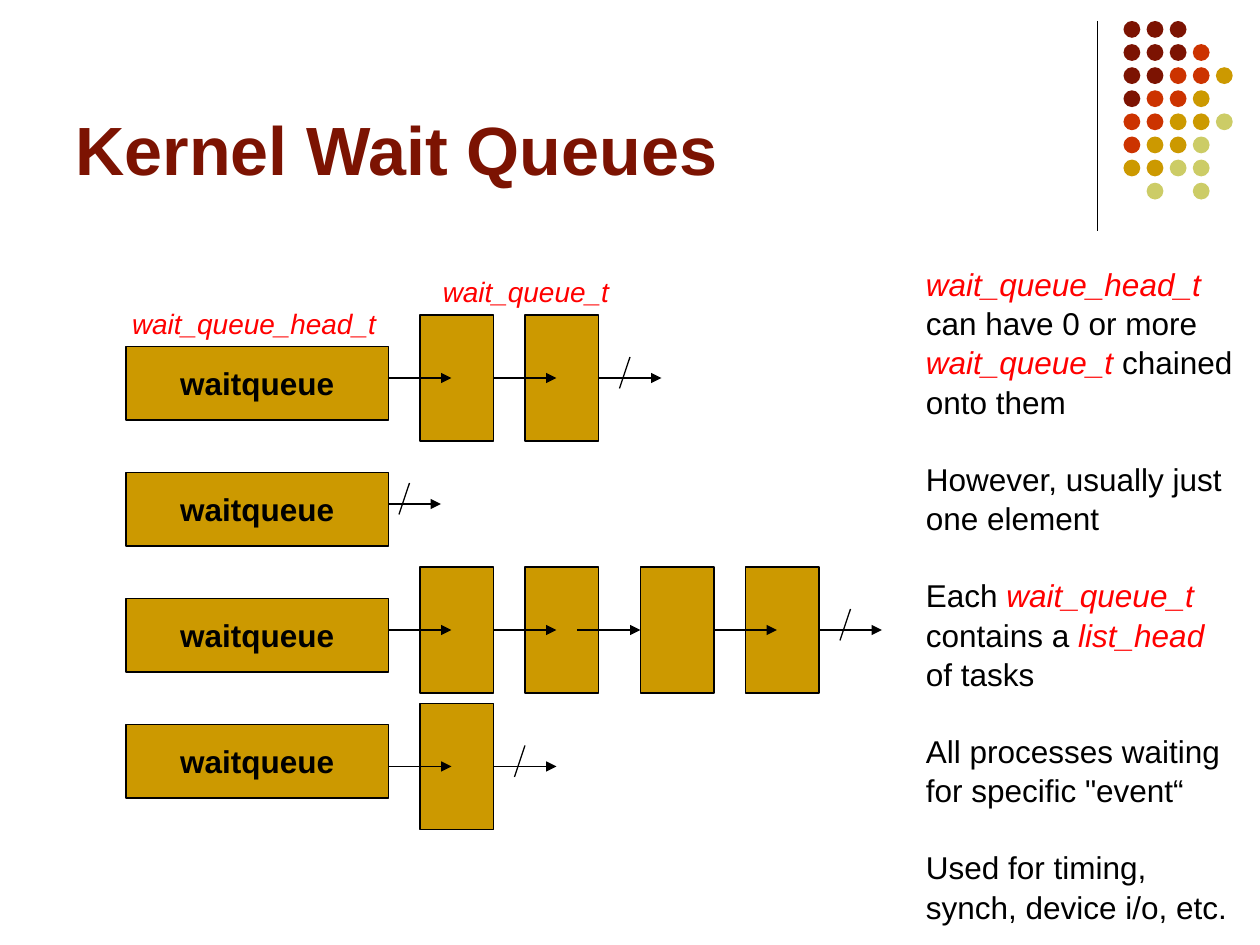
from pptx import Presentation
from pptx.dml.color import RGBColor
from pptx.enum.shapes import MSO_CONNECTOR, MSO_SHAPE
from pptx.enum.text import MSO_ANCHOR, PP_ALIGN
from pptx.util import Inches, Pt
from lxml.etree import SubElement
from pptx.oxml.ns import qn

BLACK = RGBColor(0x00, 0x00, 0x00)
RED = RGBColor(0xFF, 0x00, 0x00)
MAROON = RGBColor(0x7C, 0x13, 0x02)
ORANGE = RGBColor(0xCC, 0x33, 0x00)
GOLD = RGBColor(0xCC, 0x99, 0x00)
OLIVE = RGBColor(0xCC, 0xCC, 0x66)

deck = Presentation()
deck.slide_width, deck.slide_height = Inches(10), Inches(7.5)
page = deck.slides.add_slide(deck.slide_layouts[6])
CELL = deck.slide_width / 120  # the slide is a grid of 120 columns and 90 rows


def add_line(start_column, start_row, end_column, end_row, arrow=False):
    ends = [round(CELL * n) for n in (start_column, start_row, end_column, end_row)]
    line = page.shapes.add_connector(MSO_CONNECTOR.STRAIGHT, *ends)
    line.line.color.rgb = BLACK
    line.line.width = Pt(0.75)
    if arrow:
        SubElement(line.line._get_or_add_ln(), qn("a:tailEnd"), type="triangle")
    SubElement(line._element.spPr, qn("a:effectLst"))


def add_item(column, row, width, height, paras=(), kind=None, fill=None,
             outline=True, wrap=False, anchor=MSO_ANCHOR.TOP, align=PP_ALIGN.LEFT, **font):
    place = [round(CELL * n) for n in (column, row, width, height)]
    if kind is None:
        box = page.shapes.add_textbox(*place)
    else:
        box = page.shapes.add_shape(kind, *place)
        box.shadow.inherit = False
        box.fill.solid()
        box.fill.fore_color.rgb = fill
        if outline:
            box.line.color.rgb = BLACK
            box.line.width = Pt(0.75)
        else:
            box.line.fill.background()
    frame = box.text_frame
    frame.word_wrap = wrap
    frame.vertical_anchor = anchor
    for index, spans in enumerate(paras):
        para = frame.add_paragraph() if index else frame.paragraphs[0]
        para.alignment = align
        if len(paras) > 1:
            para.line_spacing = 1.04
        if index:
            para.space_before = Pt(21.6)
        for text, color in spans:
            span = para.add_run()
            span.text = text
            span.font.color.rgb = color
            for name, value in {"name": "Arial", "italic": color == RED, **font}.items():
                setattr(span.font, name, value)


# Corner ornament: a rule and a grid of dots
add_line(104.5, 2, 104.5, 22)
DOT_COLORS = {"M": MAROON, "O": ORANGE, "G": GOLD, "L": OLIVE}
DOT_ROWS = ["MMM", "MMMO", "MMOOG", "MOOG", "OOGGL", "OGGL", "GGLL", " L L"]
for row, dots in enumerate(DOT_ROWS):
    for column, code in enumerate(dots):
        if code in DOT_COLORS:
            add_item(107 + 2.2 * column, 2 + 2.2 * row, 1.6, 1.6,
                     kind=MSO_SHAPE.OVAL, fill=DOT_COLORS[code], outline=False)

# Title
add_item(6, 1.6, 99, 17, [[("Kernel Wait Queues", MAROON)]], wrap=True,
         anchor=MSO_ANCHOR.BOTTOM, size=Pt(39), bold=True)

# Queues: arrow row, node columns, arrow start columns, length of the last arrow
QUEUES = [
    (36, [40, 50], [37, 47, 57], 6),
    (48, [], [37], 5),
    (60, [40, 50, 61, 71], [37, 47, 55, 68, 78], 6),
    (73, [40], [37, 47], 6),
]
for index, (row, nodes, arrows, last_length) in enumerate(QUEUES):
    add_item(12, 33 + 12 * index, 25, 7, [[("waitqueue", BLACK)]],
             kind=MSO_SHAPE.RECTANGLE, fill=GOLD, anchor=MSO_ANCHOR.MIDDLE,
             align=PP_ALIGN.CENTER, size=Pt(18), bold=True)
    for column in nodes:
        add_item(column, row - 6, 7, 12, kind=MSO_SHAPE.RECTANGLE, fill=GOLD)
    for column in arrows[:-1]:
        add_line(column, row, column + 6, row, arrow=True)
    # The last arrow is struck through: end of the chain
    end = arrows[-1]
    add_line(end, row, end + last_length, row, arrow=True)
    slash = end + last_length // 2
    add_line(slash, row - 2, slash - 1, row + 1)

# Notes beside the queues
NOTES = [
    [("wait_queue_head_t ", RED), ("can have 0 or more ", BLACK),
     ("wait_queue_t ", RED), ("chained onto them", BLACK)],
    [("However, usually just one element", BLACK)],
    [("Each ", BLACK), ("wait_queue_t ", RED), ("contains a", BLACK),
     (" list_head ", RED), ("of tasks", BLACK)],
    [("All processes waiting for specific \"event“", BLACK)],
    [("Used for timing, synch, device i/o, etc.", BLACK)],
]
add_item(87, 24.5, 32, 62.4, NOTES, wrap=True, size=Pt(18))

# Type labels
for text, column, row, width in [("wait_queue_head_t", 11.4, 28.6, 25.6),
                                 ("wait_queue_t", 41, 25.6, 18.2)]:
    add_item(column, row, width, 4.4, [[(text, RED)]], size=Pt(16))

deck.save("out.pptx")
